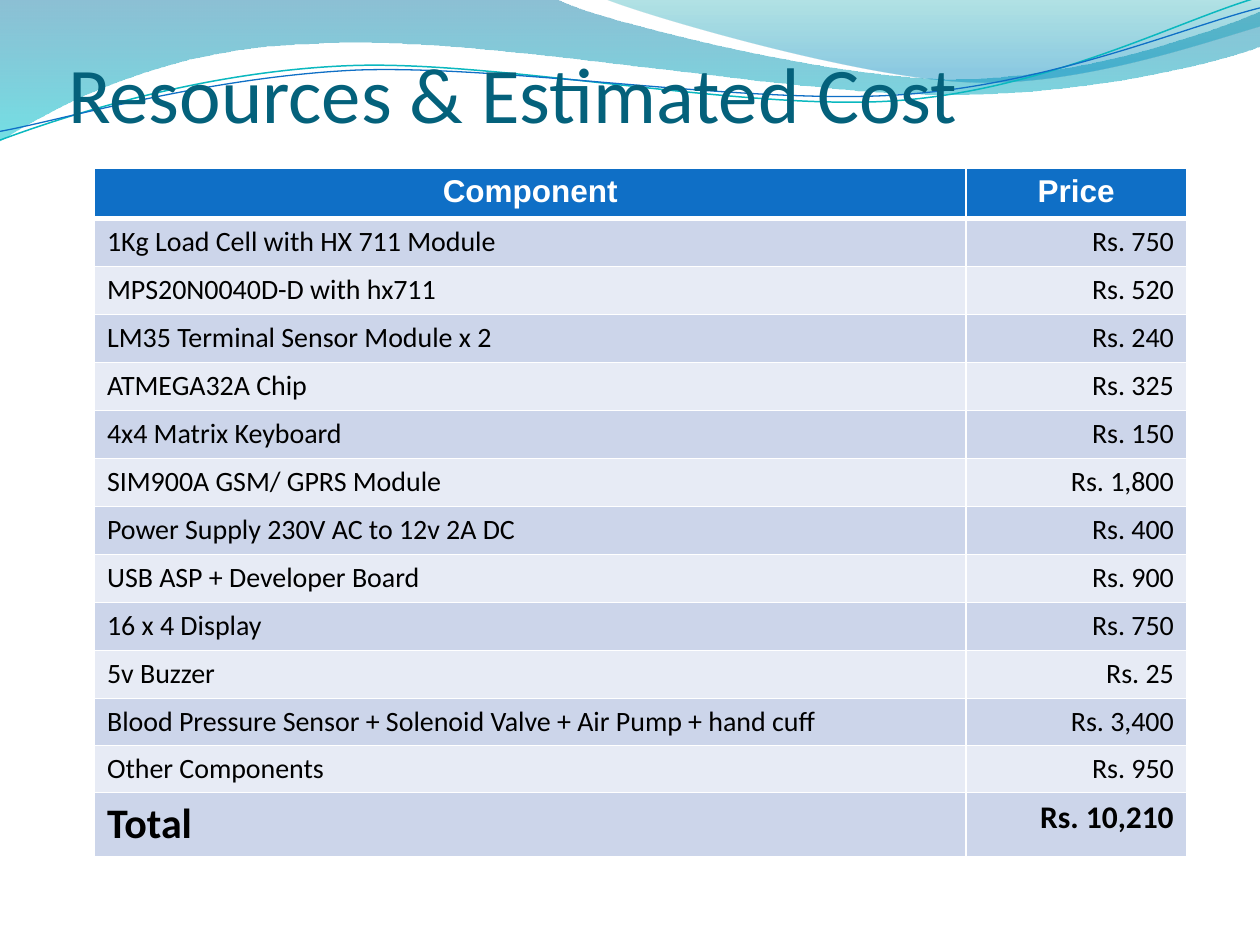
from dataclasses import dataclass

from lxml.etree import Element, SubElement
from pptx import Presentation
from pptx.dml.color import RGBColor
from pptx.enum.text import MSO_ANCHOR, MSO_AUTO_SIZE, PP_ALIGN
from pptx.oxml.ns import qn
from pptx.util import Pt


@dataclass(frozen=True)
class Theme:
    title: str = "04617B"
    header: str = "0F6FC6"
    header_text: str = "FFFFFF"
    border: str = "FFFFFF"
    text: str = "000000"
    bands: tuple = ("CCD5EA", "E7EBF5")
    teal_line: str = "0AB8BF"
    blue_line: str = "0F6FC6"
    font: str = "Calibri"
    header_font: str = "Arial"
    title_size: int = 45
    header_size: int = 18
    body_size: int = 16
    total_size: int = 24
    total_price_size: int = 18


theme = Theme()


def add_curve(page, start, segments, closed):
    """Draw an outline; a segment is one point (line) or three points (cubic curve)."""
    points = [(Pt(x), Pt(y)) for segment in segments for x, y in segment]
    builder = page.shapes.build_freeform(Pt(start[0]), Pt(start[1]))
    builder.add_line_segments(points, close=closed)
    shape = builder.convert_to_shape()
    shape.shadow.inherit = False
    steps = iter(list(shape.element.spPr.iter(qn("a:lnTo"))))
    for segment in segments:
        parts = [next(steps) for _ in segment]
        if len(parts) == 3:
            curve = Element(qn("a:cubicBezTo"))
            parts[0].addprevious(curve)
            for part in parts:
                curve.append(part[0])
                part.getparent().remove(part)
    return shape


def write(frame, text, font, size, color, bold=False, align=PP_ALIGN.LEFT):
    para = frame.paragraphs[0]
    para.alignment = align
    span = para.add_run()
    span.text = text
    span.font.name = font
    span.font.size = Pt(size)
    span.font.bold = bold
    span.font.color.rgb = RGBColor.from_string(color)


deck = Presentation()
deck.slide_width, deck.slide_height = Pt(720), Pt(540)
page = deck.slides.add_slide(deck.slide_layouts[5])

# Waves: start, segments, gradient stops (position, colour, opacity in percent)
waves = [
    ((0, 0),
     [((317, -1),),
      ((343, 12), (478, 45), (546, 45)),
      ((614, 45), (690, 19), (720, 6.5)),
      ((721, 26),),
      ((708, 32), (626, 55), (537, 54)),
      ((448, 54), (275, 20), (185, 24.5)),
      ((93, 26), (33, 60), (-1, 81)),
      ((0, 0),)],
     [(0, "0074A1", 45), (1, "00C6CF", 55)]),
    ((345, -1),
     [((366, 8), (491, 45), (554, 47)),
      ((616, 50), (692, 23), (720, 15)),
      ((720, 0),),
      ((345, -1),)],
     [(0, "00A1A9", 30), (0.8, "008BBF", 45)]),
]
for start, segments, stops in waves:
    wave = add_curve(page, start, segments, closed=True)
    wave.line.fill.background()
    wave.fill.gradient()
    wave.fill.gradient_angle = 270
    for stop, (position, color, _) in zip(wave.fill.gradient_stops, stops):
        stop.position = position
        stop.color.rgb = RGBColor.from_string(color)
    colors = list(wave.element.spPr.iter(qn("a:srgbClr")))
    for color_element, (_, _, opacity) in zip(colors, stops):
        SubElement(color_element, qn("a:alpha")).set("val", str(opacity * 1000))

# Wave lines, given before they are turned
wave_lines = [
    ((-1.4, 63.1),
     [((34.2, 51.7), (114.3, 29.4), (199.4, 30)),
      ((284.4, 30.5), (425.9, 67.2), (512.1, 64.7)),
      ((599.3, 62.3), (676.1, 25.9), (720.6, 15.5))],
     theme.teal_line, 0.85),
    ((-1.1, 58.1),
     [((33.2, 53.6), (118.2, 32.6), (204.3, 32.7)),
      ((290.3, 33.7), (429.1, 63.8), (515.3, 61.4)),
      ((601.4, 59.4), (678.9, 30), (721.4, 21.5))],
     theme.blue_line, 0.75),
]
for start, segments, color, width in wave_lines:
    wave_line = add_curve(page, start, segments, closed=False)
    wave_line.rotation = 357.3
    wave_line.fill.background()
    wave_line.line.color.rgb = RGBColor.from_string(color)
    wave_line.line.width = Pt(width)

# Cost table
costs = [
    ("Component", "Price"),
    ("1Kg Load Cell with HX 711 Module", "Rs. 750"),
    ("MPS20N0040D-D with hx711", "Rs. 520"),
    ("LM35 Terminal Sensor Module x 2", "Rs. 240"),
    ("ATMEGA32A Chip", "Rs. 325"),
    ("4x4 Matrix Keyboard", "Rs. 150"),
    ("SIM900A GSM/ GPRS Module", "Rs. 1,800"),
    ("Power Supply 230V AC to 12v 2A DC", "Rs. 400"),
    ("USB ASP + Developer Board", "Rs. 900"),
    ("16 x 4 Display", "Rs. 750"),
    ("5v Buzzer", "Rs. 25"),
    ("Blood Pressure Sensor + Solenoid Valve + Air Pump + hand cuff", "Rs. 3,400"),
    ("Other Components", "Rs. 950"),
    ("Total", "Rs. 10,210"),
]
row_heights = [28.8] + [27.45] * 10 + [26.2] * 2 + [36]
column_widths = [498, 126]
table = page.shapes.add_table(len(costs), 2, Pt(54), Pt(96),
                              Pt(sum(column_widths)), Pt(sum(row_heights))).table
for column, width in zip(table.columns, column_widths):
    column.width = Pt(width)
for row_index, (entry, height) in enumerate(zip(costs, row_heights)):
    table.rows[row_index].height = Pt(height)
    is_header = row_index == 0
    is_total = row_index == len(costs) - 1
    borders = {"a:lnL": 1, "a:lnR": 1,
               "a:lnT": 3 if row_index == 1 else 1, "a:lnB": 3 if is_header else 1}
    for column_index, text in enumerate(entry):
        cell = table.cell(row_index, column_index)
        properties = cell._tc.get_or_add_tcPr()
        for side, weight in borders.items():
            border = SubElement(properties, qn(side), w=str(Pt(weight)))
            fill = SubElement(border, qn("a:solidFill"))
            SubElement(fill, qn("a:srgbClr"), val=theme.border)
        cell.fill.solid()
        band = theme.header if is_header else theme.bands[(row_index - 1) % 2]
        cell.fill.fore_color.rgb = RGBColor.from_string(band)
        if is_header:
            write(cell.text_frame, text, theme.header_font, theme.header_size,
                  theme.header_text, bold=True, align=PP_ALIGN.CENTER)
            continue
        size = theme.body_size
        if is_total:
            size = (theme.total_size, theme.total_price_size)[column_index]
        write(cell.text_frame, text, theme.font, size, theme.text, bold=is_total,
              align=(PP_ALIGN.LEFT, PP_ALIGN.RIGHT)[column_index])

# Title, brought in front of the waves
title = page.shapes.title
title.left, title.top, title.width, title.height = Pt(39), Pt(24), Pt(648), Pt(55.5)
frame = title.text_frame
frame.word_wrap = True
frame.auto_size = MSO_AUTO_SIZE.NONE
frame.vertical_anchor = MSO_ANCHOR.BOTTOM
frame.margin_left = frame.margin_right = frame.margin_bottom = Pt(0)
frame.margin_top = Pt(3.6)
write(frame, "Resources & Estimated Cost", theme.font, theme.title_size, theme.title)
title.element.getparent().append(title.element)

deck.save("out.pptx")
